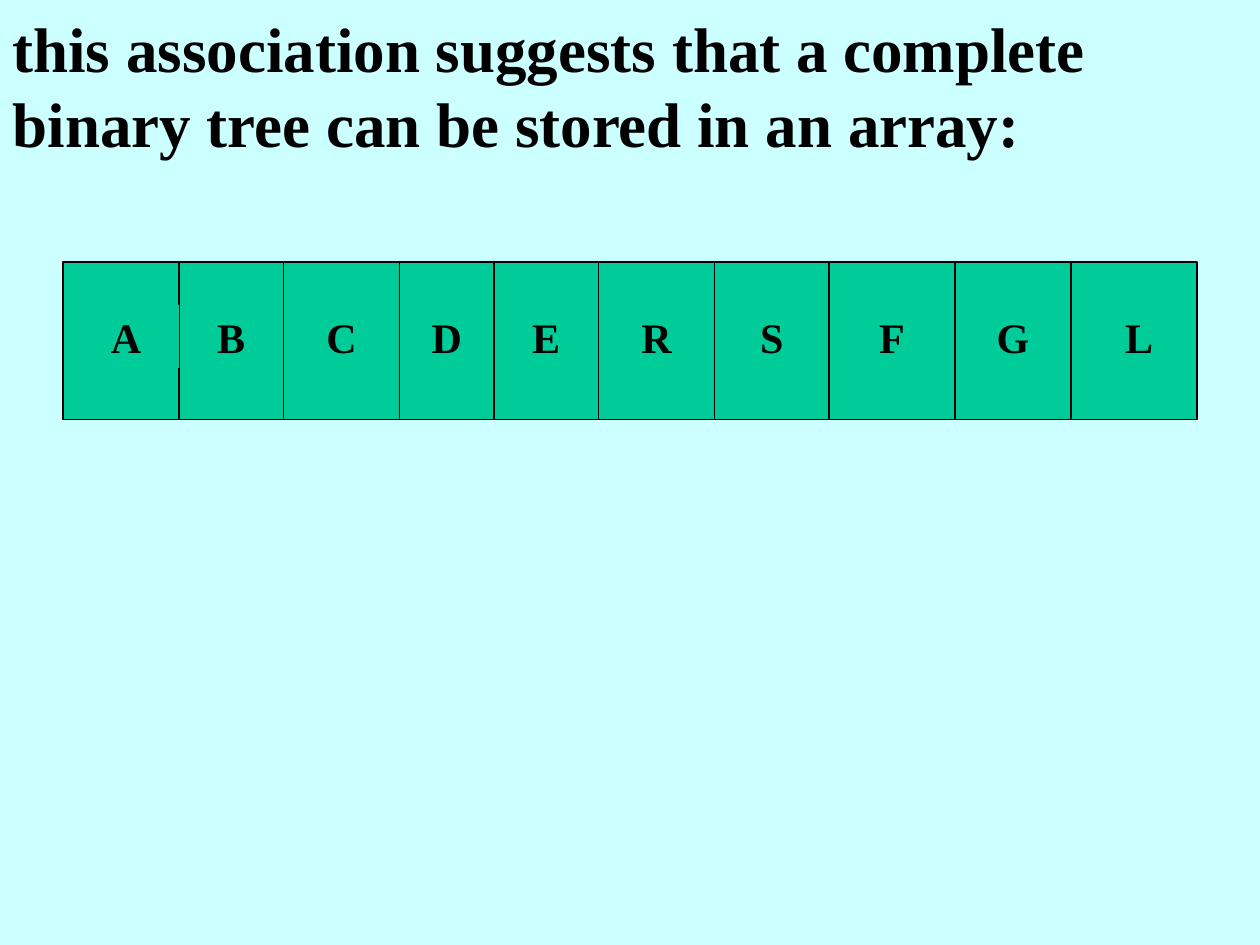
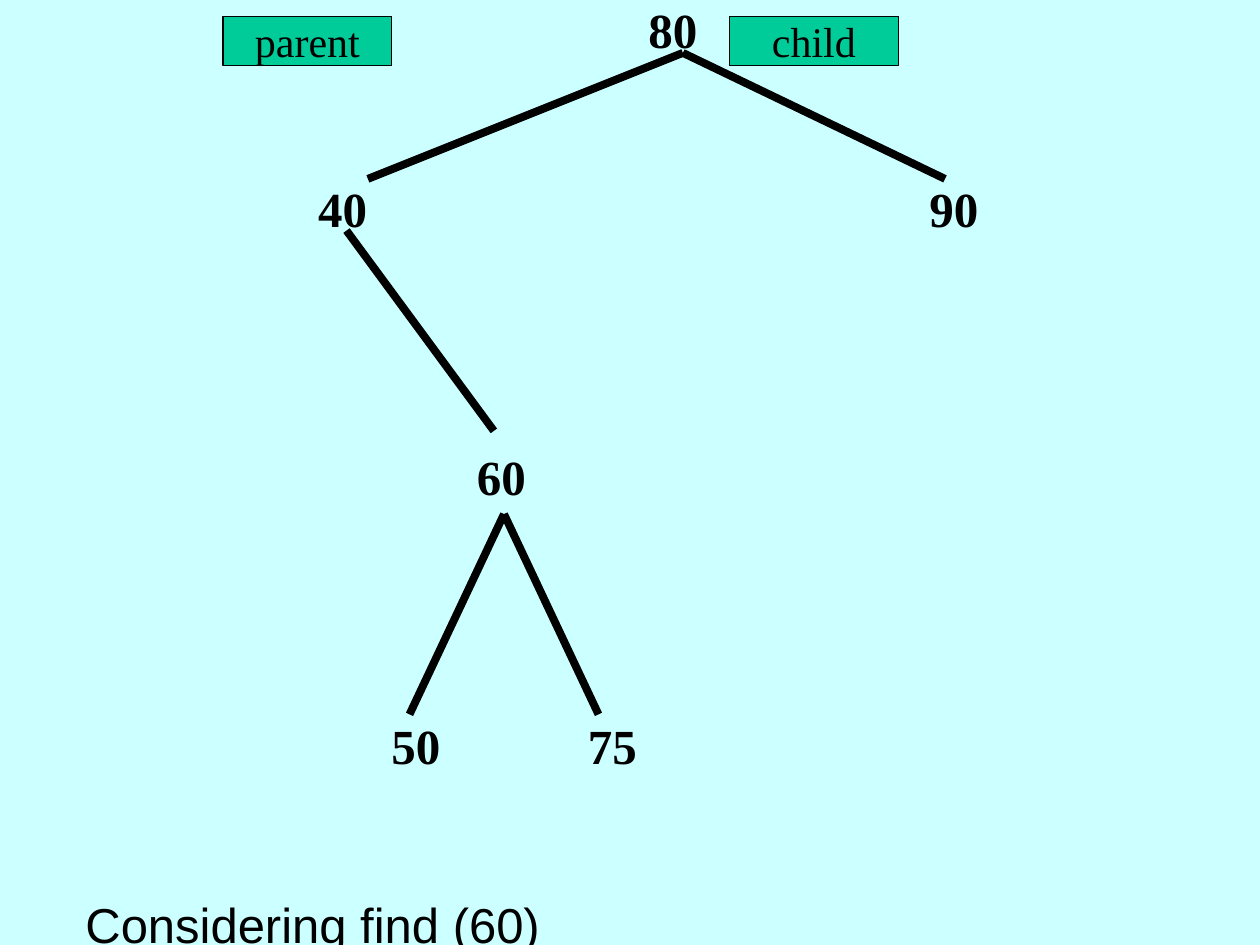
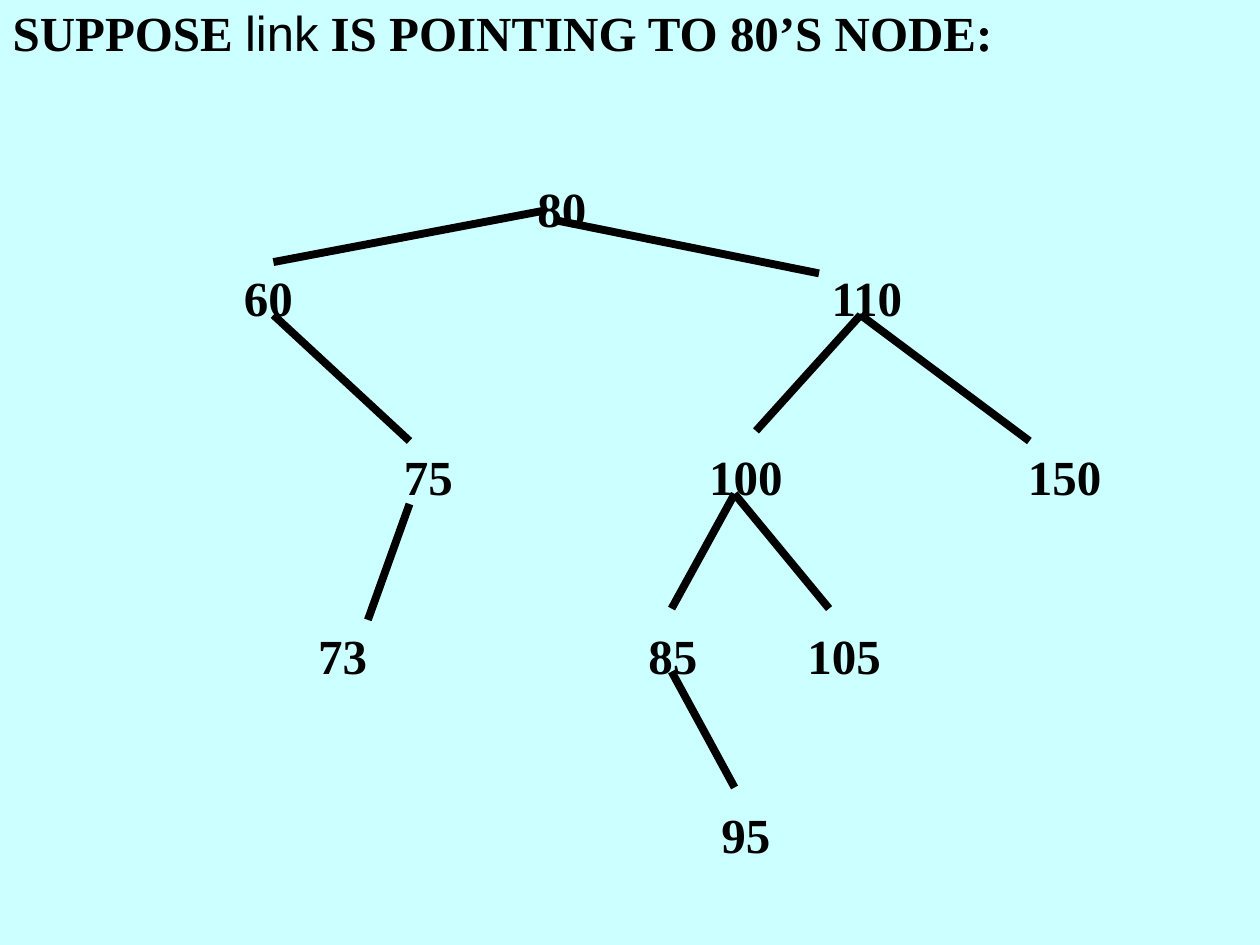
import dataclasses
import itertools
import typing

import lxml.etree
import pptx
import pptx.dml.color
import pptx.enum.shapes
import pptx.enum.text
import pptx.oxml.ns
import pptx.util

Inches = pptx.util.Inches
Pt = pptx.util.Pt
Align = pptx.enum.text.PP_ALIGN
Anchor = pptx.enum.text.MSO_ANCHOR


@dataclasses.dataclass(frozen=True)
class Theme:
    back: str = "CCFFFF"
    fill: str = "00CC99"
    ink: str = "000000"
    serif: str = "Times New Roman"
    sans: str = "Arial"
    large: float = 36
    body: float = 28
    small: float = 24
    thin: float = 0.75
    thick: float = 4.5


class Box(typing.NamedTuple):
    left: float
    top: float
    width: float
    height: float


class Node(typing.NamedTuple):
    text: str
    x: float
    row: int


class Edge(typing.NamedTuple):
    x1: float
    y1: float
    x2: float
    y2: float


class Part(typing.NamedTuple):
    text: str
    font: str
    bold: bool


THEME = Theme()
FIRST_ROW, ROW_STEP = 0.23, 0.71
NODE_WIDTH, NODE_HEIGHT = 1, 0.4

ARRAY = Box(0.5, 2.08, 9, 1.25)
CUTS = (1.42, 2.25, 3.17, 3.92, 4.75, 5.67, 6.58, 7.58, 8.5)
LETTERS = "ABCDERSFGL"

FIND_NODES = (
    Node("80", 5.34, 0),
    Node("40", 2.72, 2),
    Node("90", 7.57, 2),
    Node("60", 3.98, 5),
    Node("50", 3.3, 8),
    Node("75", 4.86, 8),
)
FIND_EDGES = (
    Edge(5.42, 0.42, 2.92, 1.42),
    Edge(5.42, 0.42, 7.5, 1.42),
    Edge(2.75, 1.83, 3.92, 3.42),
    Edge(4, 4.08, 3.25, 5.67),
    Edge(4, 4.08, 4.75, 5.67),
)
LINK_NODES = (
    Node("80", 4.46, 2),
    Node("60", 2.13, 3),
    Node("110", 6.88, 3),
    Node("75", 3.4, 5),
    Node("100", 5.92, 5),
    Node("150", 8.45, 5),
    Node("73", 2.72, 7),
    Node("85", 5.34, 7),
    Node("105", 6.7, 7),
    Node("95", 5.92, 9),
)
LINK_EDGES = (
    Edge(4.33, 1.67, 2.17, 2.08),
    Edge(4.42, 1.75, 6.5, 2.17),
    Edge(2.17, 2.5, 3.25, 3.5),
    Edge(3.25, 4, 2.92, 4.92),
    Edge(6.83, 2.5, 6, 3.42),
    Edge(6.83, 2.5, 8.17, 3.5),
    Edge(5.83, 3.92, 5.33, 4.83),
    Edge(5.83, 3.92, 6.58, 4.83),
    Edge(5.33, 5.33, 5.83, 6.25),
)


def shade(code: str) -> pptx.dml.color.RGBColor:
    return pptx.dml.color.RGBColor.from_string(code)


def place(box: Box) -> tuple:
    return tuple(Inches(side) for side in box)


def row_top(row: int) -> float:
    return FIRST_ROW + row * ROW_STEP - NODE_HEIGHT / 2


def style(run, size: float, font: str = THEME.serif, bold: bool = True) -> None:
    run.font.name = font
    run.font.size = Pt(size)
    run.font.bold = bold
    run.font.color.rgb = shade(THEME.ink)


def add_label(slide, text: str, box: Box, size: float, font: str = THEME.serif,
              bold: bool = True, align=Align.CENTER):
    label = slide.shapes.add_textbox(*place(box))
    frame = label.text_frame
    frame.text = text
    frame.word_wrap = True
    frame.margin_top = frame.margin_bottom = 0
    frame.vertical_anchor = Anchor.MIDDLE
    frame.paragraphs[0].alignment = align
    style(frame.paragraphs[0].runs[0], size, font, bold)
    return label


def add_rect(slide, box: Box):
    rect = slide.shapes.add_shape(
        pptx.enum.shapes.MSO_SHAPE.RECTANGLE, *place(box))
    rect.shadow.inherit = False
    rect.fill.solid()
    rect.fill.fore_color.rgb = shade(THEME.fill)
    rect.line.color.rgb = shade(THEME.ink)
    rect.line.width = Pt(THEME.thin)
    return rect


def add_tag(slide, text: str, left: float) -> None:
    frame = add_rect(slide, Box(left, 0.13, 1.34, 0.39)).text_frame
    frame.text = text
    frame.word_wrap = False
    frame.vertical_anchor = Anchor.MIDDLE
    frame.paragraphs[0].alignment = Align.CENTER
    style(frame.paragraphs[0].runs[0], THEME.small, bold=False)


def add_edge(slide, edge: Edge, width: float) -> None:
    line = slide.shapes.add_connector(
        pptx.enum.shapes.MSO_CONNECTOR.STRAIGHT,
        *(Inches(value) for value in edge))
    line.line.color.rgb = shade(THEME.ink)
    line.line.width = Pt(width)
    props = line._element.spPr
    lxml.etree.SubElement(props, pptx.oxml.ns.qn("a:effectLst"))


def add_tree(slide, nodes: tuple[Node, ...], edges: tuple[Edge, ...]) -> None:
    for node in nodes:
        box = Box(node.x - NODE_WIDTH / 2, row_top(node.row),
                  NODE_WIDTH, NODE_HEIGHT)
        add_label(slide, node.text, box, THEME.body)
    for edge in edges:
        add_edge(slide, edge, THEME.thick)


def set_title(slide, parts: tuple[Part, ...], box: Box, size: float):
    title = slide.shapes.title
    title.left, title.top, title.width, title.height = place(box)
    frame = title.text_frame
    frame.word_wrap = True
    frame.auto_size = pptx.enum.text.MSO_AUTO_SIZE.NONE
    frame.vertical_anchor = Anchor.TOP
    line = frame.paragraphs[0]
    line.alignment = Align.LEFT
    for part in parts:
        run = line.add_run()
        run.text = part.text
        style(run, size, part.font, part.bold)
    return line


def draw_array(slide) -> None:
    text = "this association suggests that a complete binary tree can be stored in an array:"
    line = set_title(slide, (Part(text, THEME.serif, True),),
                     Box(0, 0.03, 10, 1.3), THEME.large)
    line.line_spacing = Pt(43)
    add_rect(slide, ARRAY)
    for cut in CUTS:
        add_edge(slide, Edge(cut, ARRAY.top, cut, ARRAY.top + ARRAY.height),
                 THEME.thin)
    sides = itertools.pairwise((0.58, *CUTS, 9.58))
    labels = [
        add_label(slide, letter, Box(left, 2.42, right - left, 0.5), THEME.small)
        for letter, (left, right) in zip(LETTERS, sides)
    ]
    labels[0].fill.solid()
    labels[0].fill.fore_color.rgb = shade(THEME.fill)


def draw_find(slide) -> None:
    add_tree(slide, FIND_NODES, FIND_EDGES)
    add_label(slide, "Considering find (60)",
              Box(0.58, row_top(10), 9, NODE_HEIGHT),
              THEME.body, THEME.sans, False, Align.LEFT)
    add_tag(slide, "parent", 1.77)
    add_tag(slide, "child", 5.79)


def draw_link(slide) -> None:
    parts = (
        Part("SUPPOSE ", THEME.serif, True),
        Part("link", THEME.sans, False),
        Part(" IS POINTING TO 80’S NODE:", THEME.serif, True),
    )
    set_title(slide, parts, Box(0, -0.03, 10, 0.6), THEME.body)
    add_tree(slide, LINK_NODES, LINK_EDGES)


def main() -> None:
    deck = pptx.Presentation()
    deck.slide_width, deck.slide_height = Inches(10), Inches(7.5)
    back = deck.slide_master.background.fill
    back.solid()
    back.fore_color.rgb = shade(THEME.back)
    titled, blank = deck.slide_layouts[5], deck.slide_layouts[6]
    for layout, draw in ((titled, draw_array), (blank, draw_find),
                         (titled, draw_link)):
        draw(deck.slides.add_slide(layout))
    deck.save("out.pptx")


if __name__ == "__main__":
    main()
